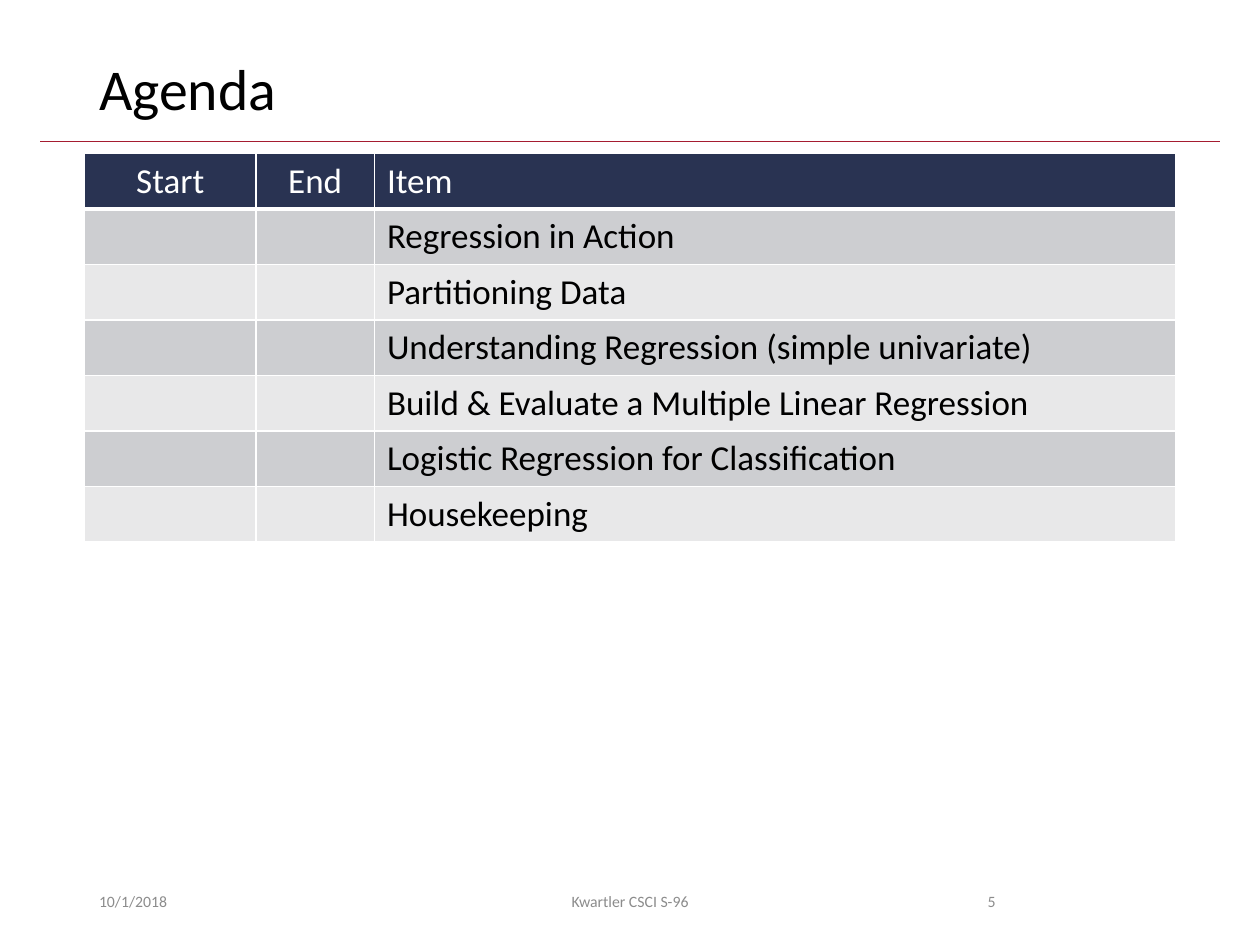
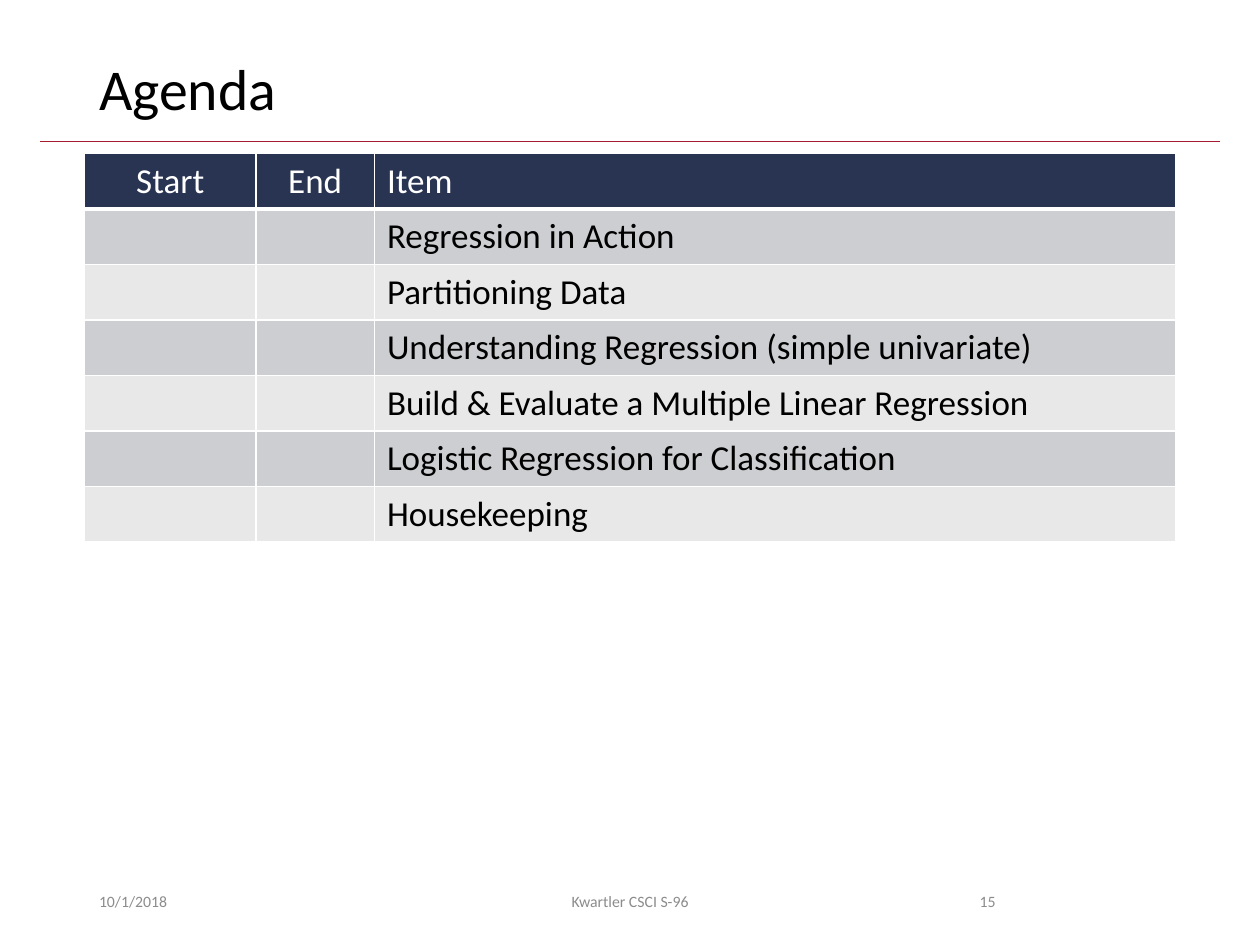
from lxml.etree import SubElement
from pptx import Presentation
from pptx.dml.color import RGBColor
from pptx.enum.shapes import MSO_CONNECTOR
from pptx.enum.text import MSO_ANCHOR, PP_ALIGN
from pptx.oxml.ns import qn
from pptx.util import Pt

COLORS = {
    "text": "000000", "footer": "8C8C8C", "rule": "A51C30", "white": "FFFFFF",
    "header": "293352", "band_dark": "CDCED1", "band_light": "E8E8E9",
}
FONT = "Calibri"
SLIDE_NUMBERS = ["5", "15"]
AGENDA = [
    "Regression in Action",
    "Partitioning Data",
    "Understanding Regression (simple univariate)",
    "Build & Evaluate a Multiple Linear Regression",
    "Logistic Regression for Classification",
    "Housekeeping",
]
ROWS = [("Start", "End", "Item")] + [("", "", item) for item in AGENDA]
COLUMN_WIDTHS = [97.9, 67.7, 457.9]
ROW_HEIGHT = 29.6


def write(frame, text, size, color, align=PP_ALIGN.LEFT):
    paragraph = frame.paragraphs[0]
    paragraph.alignment = align
    paragraph.font.size = Pt(size)
    if text:
        run = paragraph.add_run()
        run.text = text
        run.font.name = FONT
        run.font.size = Pt(size)
        run.font.color.rgb = RGBColor.from_string(COLORS[color])
    return paragraph


def add_borders(cell, bottom_width):
    properties = cell._tc.get_or_add_tcPr()
    for side, width in zip("LRTB", (1, 1, 1, bottom_width)):
        border = SubElement(properties, qn(f"a:ln{side}"), w=str(Pt(width)))
        fill = SubElement(border, qn("a:solidFill"))
        SubElement(fill, qn("a:srgbClr"), val=COLORS["white"])


prs = Presentation()
prs.slide_width, prs.slide_height = Pt(720), Pt(540)
title_only = prs.slide_layouts[5]

for number in SLIDE_NUMBERS:
    slide = prs.slides.add_slide(title_only)

    # Rule under the title
    rule = slide.shapes.add_connector(
        MSO_CONNECTOR.STRAIGHT, Pt(23), Pt(80.8), Pt(697), Pt(80.8))
    rule.line.color.rgb = RGBColor.from_string(COLORS["rule"])
    rule.line.width = Pt(0.5)
    SubElement(rule._element.spPr, qn("a:effectLst"))

    # Title
    title = slide.shapes.title
    title.left, title.top, title.width, title.height = Pt(49.5), Pt(29), Pt(621), Pt(46.8)
    title.text_frame.vertical_anchor = MSO_ANCHOR.MIDDLE
    write(title.text_frame, "Agenda", 33, "text").line_spacing = 0.9

    # Agenda table
    agenda = slide.shapes.add_table(
        len(ROWS), len(COLUMN_WIDTHS), Pt(48.4), Pt(87.8),
        Pt(sum(COLUMN_WIDTHS)), Pt(ROW_HEIGHT * len(ROWS))).table
    for column, width in zip(agenda.columns, COLUMN_WIDTHS):
        column.width = Pt(width)
    for r, row in enumerate(ROWS):
        agenda.rows[r].height = Pt(ROW_HEIGHT)
        band = "header" if r == 0 else "band_dark" if r % 2 else "band_light"
        for c, text in enumerate(row):
            cell = agenda.cell(r, c)
            add_borders(cell, 3 if r == 0 else 1)
            cell.fill.solid()
            cell.fill.fore_color.rgb = RGBColor.from_string(COLORS[band])
            write(cell.text_frame, text, 20, "white" if r == 0 else "text",
                  PP_ALIGN.CENTER if c < 2 else PP_ALIGN.LEFT)

    # Footer: date, course, slide number
    for text, left, width, align in [
        ("10/1/2018", 49.5, 162, PP_ALIGN.LEFT),
        ("Kwartler CSCI S-96", 238.5, 243, PP_ALIGN.CENTER),
        (number, 508.5, 67.5, PP_ALIGN.RIGHT),
    ]:
        footer = slide.shapes.add_textbox(Pt(left), Pt(500.5), Pt(width), Pt(28.8)).text_frame
        footer.word_wrap = True
        footer.vertical_anchor = MSO_ANCHOR.MIDDLE
        write(footer, text, 9, "footer", align)

prs.save("out.pptx")
